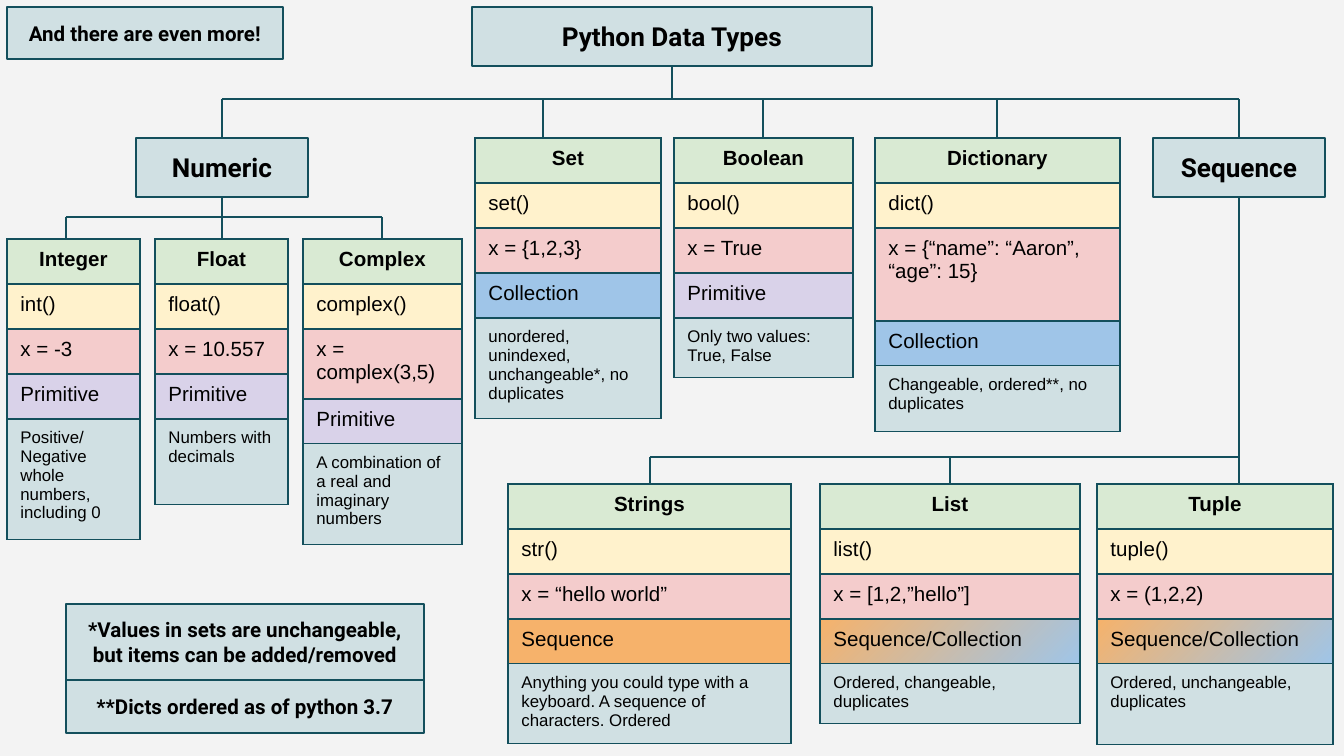
from lxml import etree
from pptx import Presentation, util as u
from pptx.dml.color import RGBColor
from pptx.enum import shapes, text
from pptx.oxml.ns import qn

PX = 914400 / 134.4
DARK, PALE, BACK, BLACK = "134F5C", "D0E0E3", "F3F3F3", "000000"
HEAD, CALL, EXAMPLE = "D9EAD3", "FFF2CC", "F4CCCC"
KIND_FILLS = {
    "Collection": ["9FC5E8"],
    "Primitive": ["D9D2E9"],
    "Sequence": ["F6B26B"],
    "Sequence/Collection": ["F6B26B", "9FC5E8"],
}
ROW, TOP_Y, NUM_Y, SEQ_Y = 45, 138, 239, 484
TOP_BUS, NUM_BUS, SEQ_BUS = 99, 217, 457

# text, left, top, width, height, font size
BOXES = [
    ("Python Data Types", 472, 7, 400, 59, 14),
    ("Numeric", 136, TOP_Y, 172, 59, 14),
    ("Sequence", 1153, TOP_Y, 172, 59, 14),
    ("*Values in sets are unchangeable, but items can be added/removed",
     66, 604, 358, 76, 11),
    ("**Dicts ordered as of python 3.7", 66, 680, 358, 53, 11),
    ("And there are even more!", 7, 7, 276, 52, 11),
]

# left, top, width, example height, note height, (name, call, example, kind, note)
TABLES = [
    (475, TOP_Y, 186, ROW, 101, ("Set", "set()", "x = {1,2,3}", "Collection",
     "unordered, unindexed, unchangeable*, no duplicates")),
    (674, TOP_Y, 179, ROW, 60, ("Boolean", "bool()", "x = True", "Primitive",
     "Only two values: True, False")),
    (875, TOP_Y, 245, 93, 66, ("Dictionary", "dict()",
     "x = {“name”: “Aaron”, “age”: 15}", "Collection",
     "Changeable, ordered**, no duplicates")),
    (7, NUM_Y, 133, ROW, 121, ("Integer", "int()", "x = -3", "Primitive",
     "Positive/Negative whole numbers, including 0")),
    (155, NUM_Y, 133, ROW, 86, ("Float", "float()", "x = 10.557", "Primitive",
     "Numbers with decimals")),
    (303, NUM_Y, 159, 70, 101, ("Complex", "complex()", "x = complex(3,5)",
     "Primitive", "A combination of a real and imaginary numbers")),
    (508, SEQ_Y, 283, ROW, 80, ("Strings", "str()", "x = “hello world”", "Sequence",
     "Anything you could type with a keyboard. A sequence of characters. Ordered")),
    (820, SEQ_Y, 260, ROW, 60, ("List", "list()", "x = [1,2,”hello”]",
     "Sequence/Collection", "Ordered, changeable, duplicates")),
    (1097, SEQ_Y, 236, ROW, 81, ("Tuple", "tuple()", "x = (1,2,2)",
     "Sequence/Collection", "Ordered, unchangeable, duplicates")),
]

# x1, y1, x2, y2, box joined at the start, box joined at the end
LINES = [
    (672, 66, 672, TOP_BUS, "Python Data Types", None),
    (222, TOP_BUS, 1239, TOP_BUS, None, None),
    (222, TOP_BUS, 222, TOP_Y, None, "Numeric"),
    (1239, TOP_BUS, 1239, TOP_Y, None, "Sequence"),
    (222, 197, 222, NUM_Y, "Numeric", None),
    (66, NUM_BUS, 382, NUM_BUS, None, None),
    (1239, 197, 1239, SEQ_Y, "Sequence", None),
    (650, SEQ_BUS, 1239, SEQ_BUS, None, None),
]
DROPS = [
    (TOP_BUS, TOP_Y, (543, 763, 997)),
    (NUM_BUS, NUM_Y, (66, 382)),
    (SEQ_BUS, SEQ_Y, (650, 950)),
]


def px(*lengths):
    return [round(n * PX) for n in lengths]


def rgb(value):
    return RGBColor.from_string(value)


def paint(fill, colours):
    """One colour gives a solid fill, two a diagonal gradient."""
    if len(colours) == 1:
        fill.solid()
        fill.fore_color.rgb = rgb(colours[0])
        return
    fill.gradient()
    fill.gradient_angle = 315
    for stop, colour in zip(fill.gradient_stops, colours):
        stop.color.rgb = rgb(colour)


def write(tf, words, font, size, bold=False, centred=False):
    tf.word_wrap = True
    p = tf.paragraphs[0]
    p.alignment = text.PP_ALIGN.CENTER if centred else text.PP_ALIGN.LEFT
    r = p.add_run()
    r.text = words
    for name, value in dict(name=font, size=u.Pt(size), bold=bold).items():
        setattr(r.font, name, value)
    r.font.color.rgb = rgb(BLACK)


def add_box(s, words, x, y, w, h, size):
    sp = s.shapes.add_shape(shapes.MSO_SHAPE.RECTANGLE, *px(x, y, w, h))
    sp.shadow.inherit = False
    paint(sp.fill, [PALE])
    sp.line.color.rgb = rgb(DARK)
    sp.line.width = u.Pt(0.75)
    tf = sp.text_frame
    write(tf, words, "Roboto", size, True, True)
    tf.auto_size = text.MSO_AUTO_SIZE.SHAPE_TO_FIT_TEXT
    tf.vertical_anchor = text.MSO_ANCHOR.MIDDLE
    for side in ("left", "top", "right", "bottom"):
        setattr(tf, f"margin_{side}", u.Inches(0.1))
    return sp


def add_line(s, boxes, x1, y1, x2, y2, start=None, end=None):
    c = s.shapes.add_connector(shapes.MSO_CONNECTOR.STRAIGHT, *px(x1, y1, x2, y2))
    c.line.color.rgb = rgb(DARK)
    c.line.width = u.Pt(1.5)
    etree.SubElement(c.element.spPr, qn("a:effectLst"))
    if start:
        c.begin_connect(boxes[start], 2)
    if end:
        c.end_connect(boxes[end], 0)


def add_borders(cell):
    tc_pr = cell._tc.get_or_add_tcPr()
    for i, side in enumerate("LRTB"):
        ln = etree.Element(qn(f"a:ln{side}"), w=str(u.Pt(0.75)))
        solid = etree.SubElement(ln, qn("a:solidFill"))
        etree.SubElement(solid, qn("a:srgbClr"), val=DARK)
        tc_pr.insert(i, ln)


def add_type_table(s, x, y, w, example_h, note_h, words):
    heights = [ROW, ROW, example_h, ROW, note_h]
    fills = [[HEAD], [CALL], [EXAMPLE], KIND_FILLS[words[3]], [PALE]]
    table = s.shapes.add_table(5, 1, *px(x, y, w, sum(heights))).table
    for i, (height, colours, line) in enumerate(zip(heights, fills, words)):
        table.rows[i].height = px(height)[0]
        cell = table.cell(i, 0)
        for side, inset in dict(left=0.1, right=0.1, top=0.07, bottom=0.07).items():
            setattr(cell, f"margin_{side}", u.Inches(inset))
        write(cell.text_frame, line, "Arial", 9 if i == 4 else 11, i == 0, i == 0)
        paint(cell.fill, colours)
        add_borders(cell)


def main():
    prs = Presentation()
    prs.slide_width, prs.slide_height = px(1344, 756)
    s = prs.slides.add_slide(prs.slide_layouts[6])
    paint(s.background.fill, [BACK])
    boxes = {box[0]: add_box(s, *box) for box in BOXES}
    for line in LINES:
        add_line(s, boxes, *line)
    for y1, y2, xs in DROPS:
        for x in xs:
            add_line(s, boxes, x, y1, x, y2)
    for table in TABLES:
        add_type_table(s, *table)
    prs.save("out.pptx")


if __name__ == "__main__":
    main()
